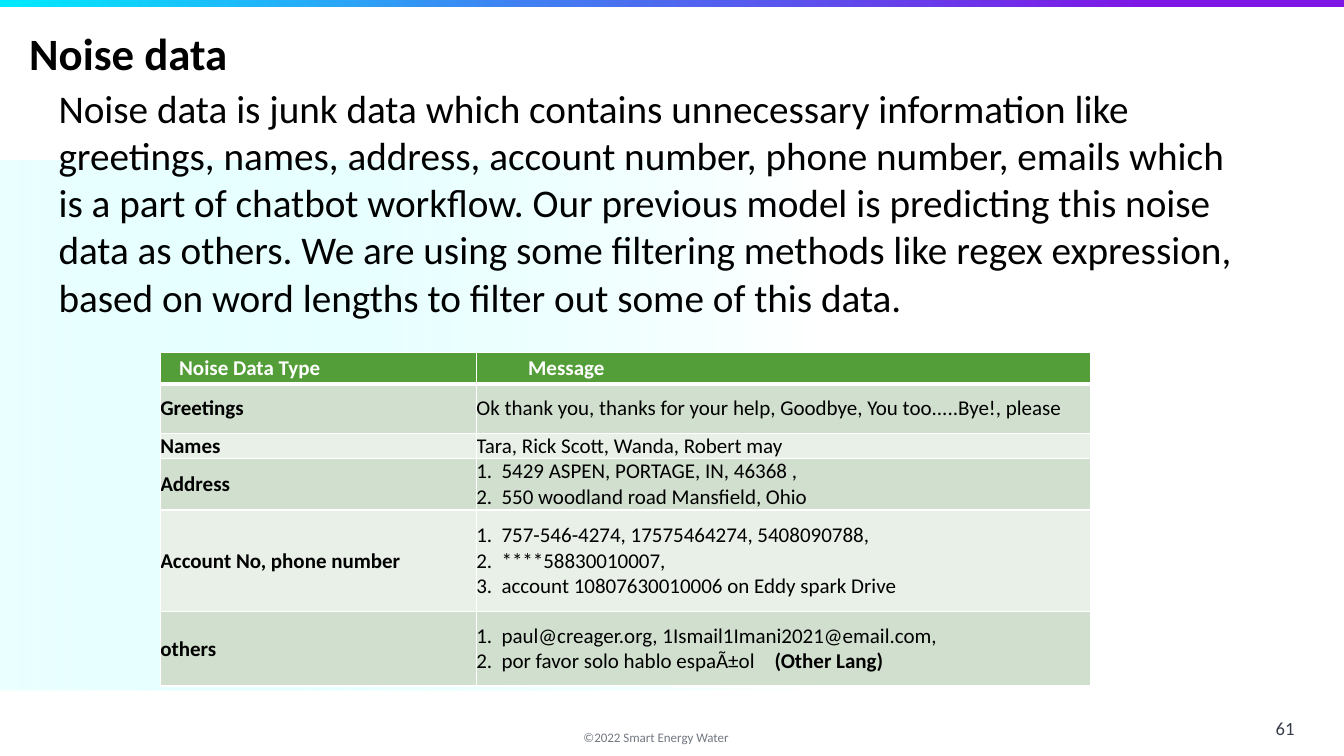
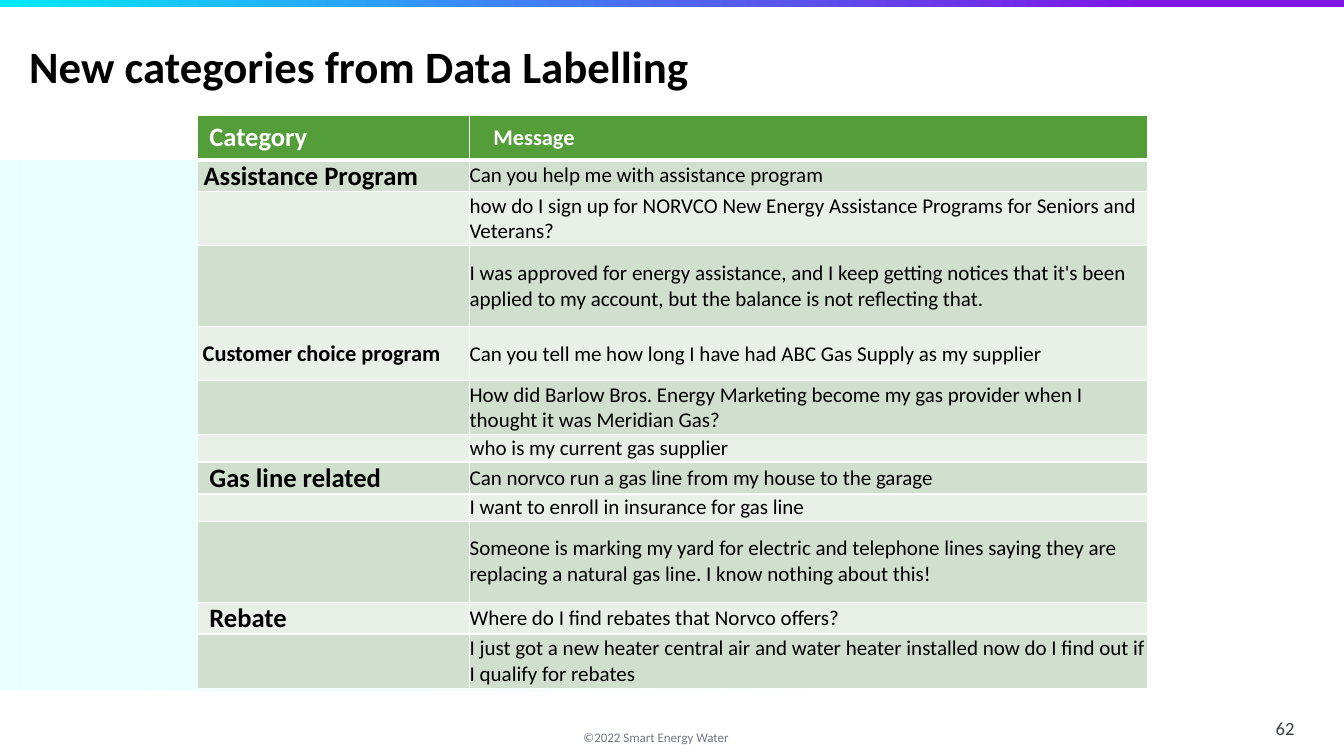
from collections import namedtuple
from dataclasses import dataclass

from lxml.etree import SubElement as Sub
from pptx import Presentation
from pptx.dml.color import RGBColor as Rgb
from pptx.enum.shapes import MSO_SHAPE as Geo
from pptx.enum.text import MSO_ANCHOR as Anchor, PP_ALIGN as Align
from pptx.oxml import parse_xml
from pptx.oxml.ns import nsdecls, qn
from pptx.util import Pt


@dataclass(frozen=True)
class Theme:
    font: str = "Calibri"
    ink: str = "000000"
    white: str = "FFFFFF"
    mute: str = "737881"
    slate: str = "373E4B"
    head: str = "549E39"
    bands: tuple = ("D1DFCE", "E9F0E8")
    strip: tuple = ((15, "7E17E5", 100), (61, "4080F2", 100), (100, "00EAFF", 100))
    wash: tuple = ((39, "FFFFFF", 100), (100, "BDFFFF", 30))
    title: float = 32
    body: float = 28
    foot: float = 16
    num: float = 13.3
    large: float = 19
    mid: float = 16
    cell: float = 15


Cell = namedtuple("Cell", "text size pad bold", defaults=(Theme.cell, 0, False))


def put(item, **vals):
    for name, val in vals.items():
        setattr(item, name, val)


class Deck:
    def __init__(self, theme):
        self.theme = theme
        self.file = Presentation()
        put(self.file, slide_width=Pt(960), slide_height=Pt(540))
        self.slide = None

    def start(self, num, title, top):
        """Add a slide with the shared bands, footer and title."""
        look = self.theme
        self.slide = self.file.slides.add_slide(self.file.slide_layouts[6])
        self.text("©2022 Smart Energy Water", (409.7, 515.5, 140, 20),
                  look.foot, look.mute, lift=30)
        self.text(str(num), (890, 508.3, 56, 24), look.num, look.slate,
                  align=Align.CENTER)
        self.band(115, 378, look.wash)
        self.band(0, 5, look.strip)
        self.text(title, (11.5, top, 560, 48), look.title, look.ink,
                  bold=True, pad=(9.4, 5))

    def band(self, top, high, stops):
        """Add a full-width band with a gradient from right to left."""
        box = self.slide.shapes.add_shape(Geo.RECTANGLE, 0, Pt(top), Pt(960), Pt(high))
        box.shadow.inherit = False
        box.line.fill.background()
        marks = "".join(
            f'<a:gs pos="{pos * 1000}"><a:srgbClr val="{tone}">'
            f'<a:alpha val="{alpha * 1000}"/></a:srgbClr></a:gs>'
            for pos, tone, alpha in stops)
        grad = parse_xml(f'<a:gradFill {nsdecls("a")}><a:gsLst>{marks}</a:gsLst>'
                         '<a:lin ang="10800000" scaled="0"/></a:gradFill>')
        box._element.spPr.find(qn("a:prstGeom")).addnext(grad)

    def run(self, para, text, size, tone, bold=False):
        run = para.add_run()
        run.text = text
        put(run.font, name=self.theme.font, size=Pt(size), bold=bold)
        run.font.color.rgb = Rgb.from_string(tone)
        return run

    def text(self, text, area, size, tone, bold=False, pad=(7.2, 3.6),
             align=Align.LEFT, lift=0):
        frame = self.slide.shapes.add_textbox(*map(Pt, area)).text_frame
        wide, high = map(Pt, pad)
        put(frame, word_wrap=True, margin_left=wide, margin_right=wide,
            margin_top=high, margin_bottom=high)
        para = frame.paragraphs[0]
        para.alignment = align
        run = self.run(para, text, size, tone, bold)
        if lift:
            run.font._element.set("baseline", str(lift * 1000))

    def list(self, para):
        """Number the paragraph and give it a stop for a side note."""
        props = para._p.get_or_add_pPr()
        props.set("marL", str(Pt(18)))
        props.set("indent", str(-Pt(18)))
        Sub(props, qn("a:buFont"), typeface="+mj-lt")
        Sub(props, qn("a:buAutoNum"), type="arabicPeriod")
        Sub(Sub(props, qn("a:tabLst")), qn("a:tab"), pos=str(Pt(213)), algn="l")

    def edges(self, cell, top, base):
        props = cell._tc.get_or_add_tcPr()
        sides = (("L", 1), ("R", 1), ("T", top), ("B", base))
        for spot, (side, wide) in enumerate(sides):
            props.insert(spot, parse_xml(
                f'<a:ln{side} {nsdecls("a")} w="{Pt(wide)}"><a:solidFill>'
                f'<a:srgbClr val="{self.theme.white}"/></a:solidFill></a:ln{side}>'))

    def fill(self, cell, data, row):
        look = self.theme
        put(cell, vertical_anchor=Anchor.MIDDLE, margin_left=Pt(data.pad),
            margin_right=0, margin_top=0, margin_bottom=0)
        back = look.bands[(row - 1) % 2] if row else look.head
        cell.fill.solid()
        cell.fill.fore_color.rgb = Rgb.from_string(back)
        self.edges(cell, 3 if row == 1 else 1, 1 if row else 3)
        tone = look.ink if row else look.white
        many = isinstance(data.text, tuple)
        frame = cell.text_frame
        for spot, line in enumerate(data.text if many else (data.text,)):
            para = frame.add_paragraph() if spot else frame.paragraphs[0]
            if many:
                self.list(para)
            if not line:
                Sub(para._p, qn("a:endParaRPr"), sz=str(data.size * 100))
                continue
            main, tab, note = line.partition("\t")
            self.run(para, main + tab, data.size, tone, data.bold)
            if note:
                self.run(para, note, data.size, tone, True)

    def table(self, left, top, cols, rows):
        """Add a table; each row is a height and its cells."""
        size = sum(cols), sum(row[0] for row in rows)
        area = map(Pt, (left, top, *size))
        grid = self.slide.shapes.add_table(len(rows), len(cols), *area).table
        for col, wide in zip(grid.columns, cols):
            col.width = Pt(wide)
        for spot, (high, *cells) in enumerate(rows):
            grid.rows[spot].height = Pt(high)
            for col, data in enumerate(cells):
                self.fill(grid.cell(spot, col), data, spot)


def noise(deck):
    look = deck.theme
    deck.start(61, "Noise data", 13.7)
    deck.text(
        "Noise data is junk data which contains unnecessary information like "
        "greetings, names, address, account number, phone number, emails which is "
        "a part of chatbot workflow. Our previous model is predicting this noise "
        "data as others. We are using some filtering methods like regex expression, "
        "based on word lengths to filter out some of this data.",
        (32.4, 55.4, 868, 179), look.body, look.ink, pad=(9.4, 5))
    kinds = (
        (35, "Greetings",
         "Ok thank you, thanks for your help, Goodbye, You too.....Bye!, please"),
        (18.3, "Names", "Tara, Rick Scott, Wanda, Robert may"),
        (36.7, "Address", ("5429 ASPEN, PORTAGE, IN, 46368 ,",
                           "550 woodland road Mansfield, Ohio")),
        (72.7, "Account No, phone number",
         ("757-546-4274, 17575464274, 5408090788,", "****58830010007,",
          "account 10807630010006 on Eddy spark Drive")),
        (53, "others", ("paul@creager.org, 1Ismail1Imani2021@email.com,",
                        "por favor solo hablo espaÃ±ol\t(Other Lang)")),
    )
    head = (22.6, Cell("Noise Data Type", pad=13.5, bold=True),
            Cell("Message", pad=37, bold=True))
    rows = [(high, Cell(kind, bold=True), Cell(text)) for high, kind, text in kinds]
    deck.table(114.5, 251.8, (225.8, 438.7), [head, *rows])


def labels(deck):
    look = deck.theme
    deck.start(62, "New categories from Data Labelling", 23)
    one, two, tall = 19.4, 38.6, 57.9
    none = Cell("")

    def tag(text, size=look.large, pad=8.4):
        return Cell(text, size, pad, True)

    rows = (
        (22.4, tag("Assistance Program", pad=4.3),
         "Can you help me with assistance program"),
        (two, none, "how do I sign up for NORVCO New Energy Assistance Programs "
                    "for Seniors and Veterans?"),
        (tall, none, "I was approved for energy assistance, and I keep getting "
                     "notices that it's been applied to my account, but the "
                     "balance is not reflecting that."),
        (two, tag("Customer choice program", look.mid, 3.6),
         "Can you tell me how long I have had ABC Gas Supply as my supplier"),
        (two, none, "How did Barlow Bros. Energy Marketing become my gas provider "
                    "when I thought it was Meridian Gas?"),
        (one, none, "who is my current gas supplier"),
        (22.6, tag("Gas line related"),
         "Can norvco run a gas line from my house to the garage"),
        (one, none, "I want to enroll in insurance for gas line"),
        (tall, none, "Someone is marking my yard for electric and telephone lines "
                     "saying they are replacing a natural gas line. I know nothing "
                     "about this!"),
        (22.6, tag("Rebate"), "Where do I find rebates that Norvco offers?"),
        (two, none, "I just got a new heater central air and water heater installed "
                    "now do I find out if I qualify for rebates"),
    )
    head = (31.7, tag("Category"), tag("Message", look.mid, 17))
    deck.table(141.2, 82.5, (194.3, 484.3),
               [head, *((high, name, Cell(text)) for high, name, text in rows)])


def main():
    deck = Deck(Theme())
    noise(deck)
    labels(deck)
    deck.file.save("out.pptx")


if __name__ == "__main__":
    main()
